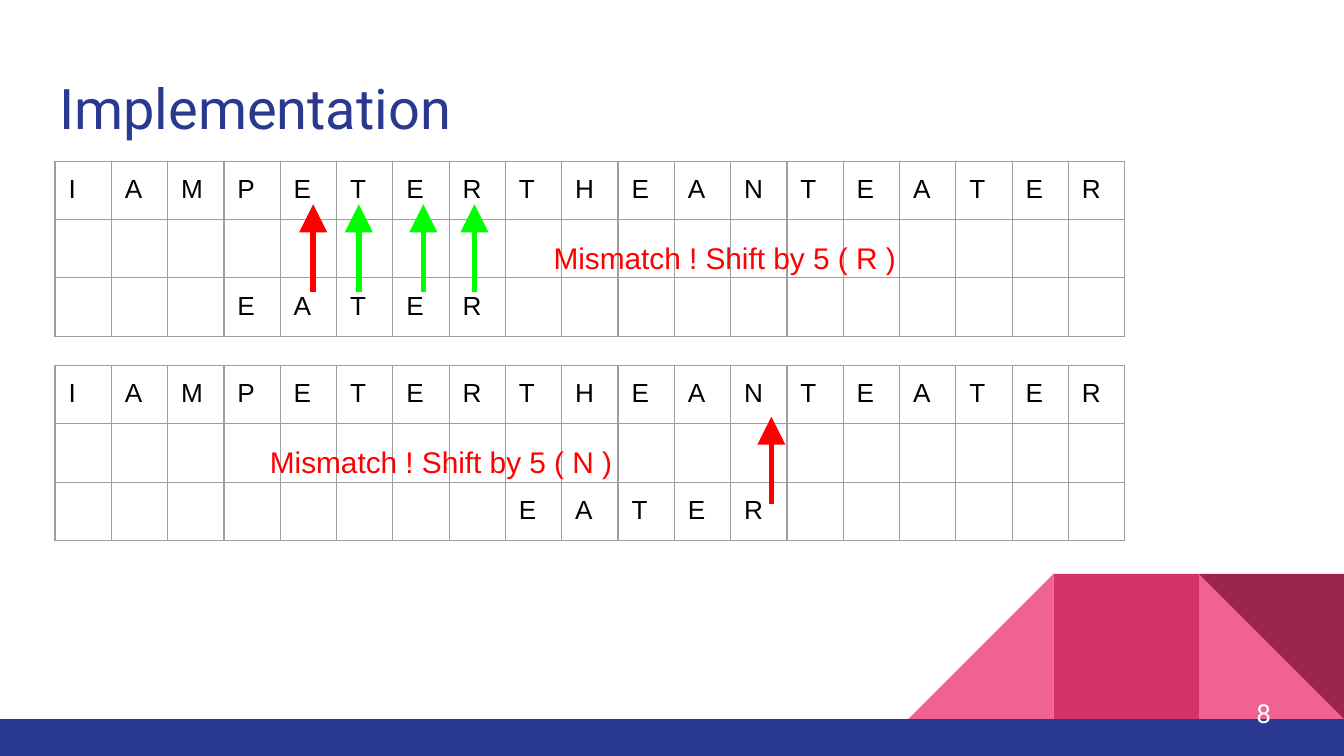
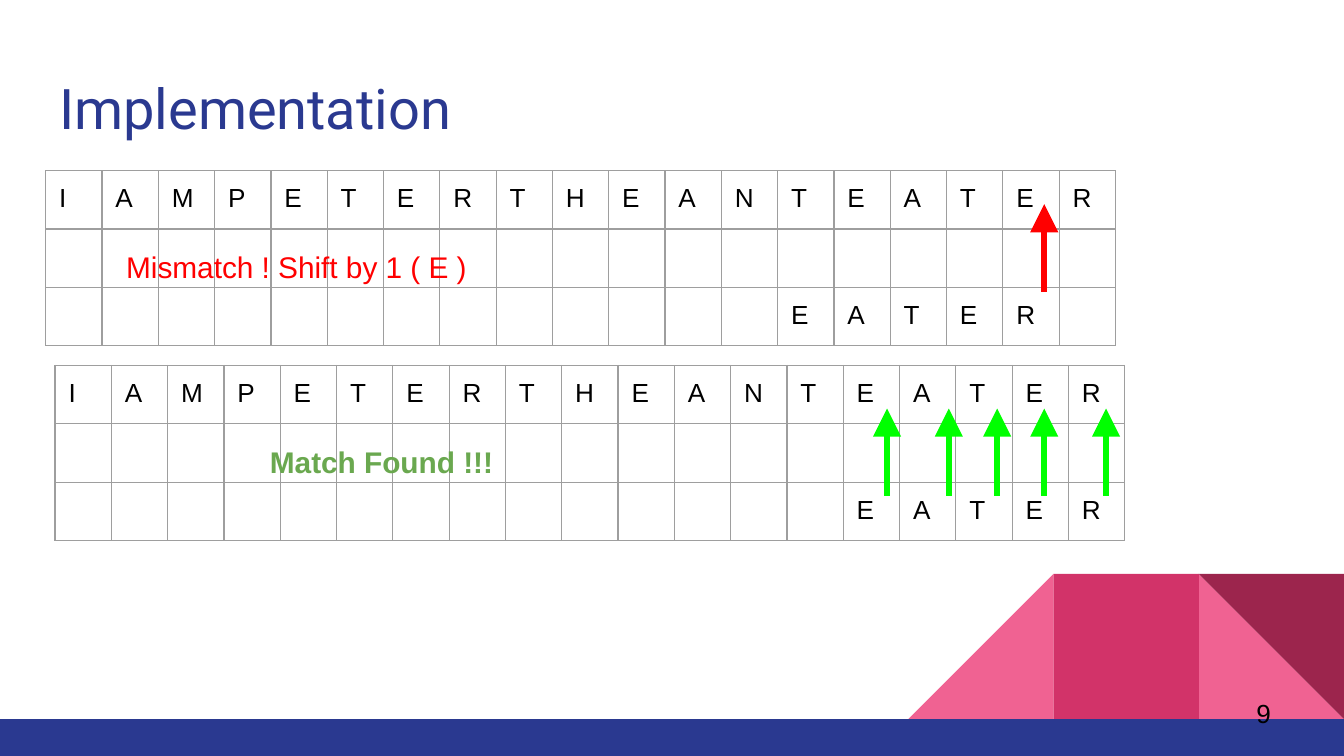
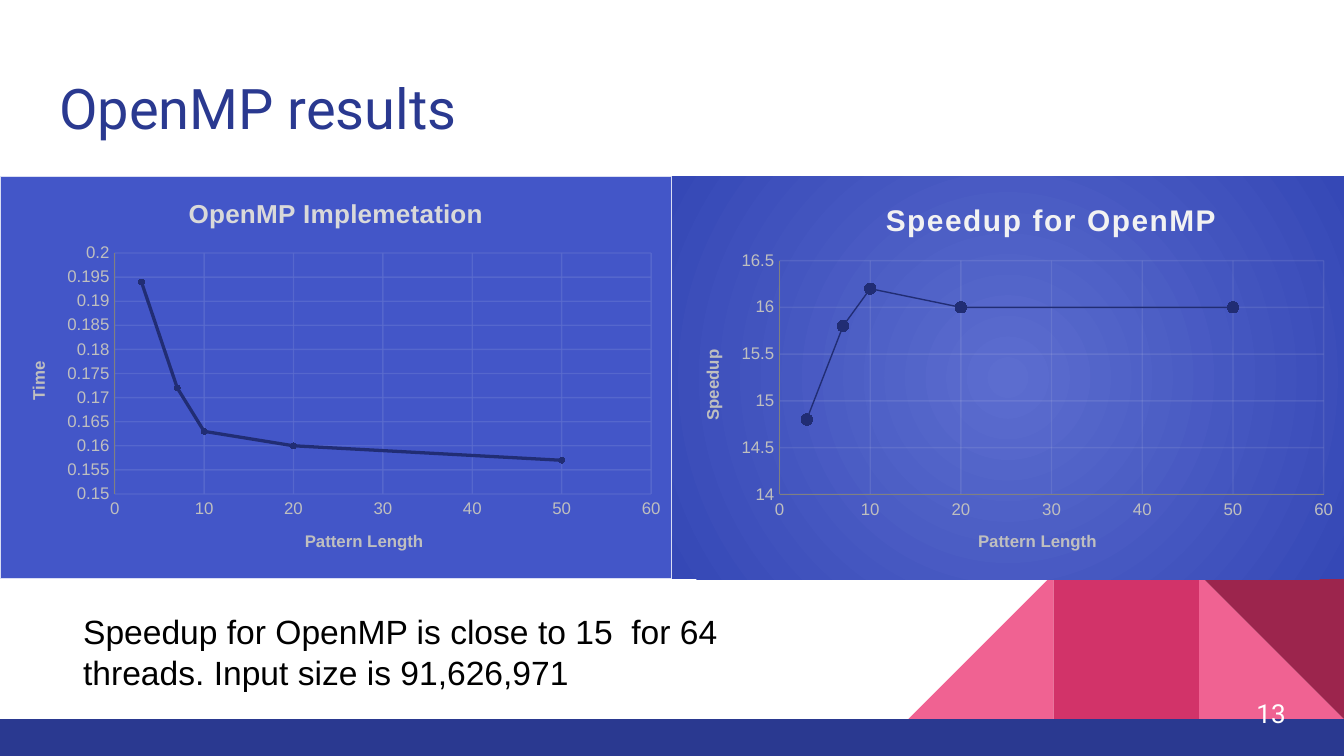
from lxml import etree
from pptx import Presentation
from pptx.chart.data import XyChartData
from pptx.dml.color import RGBColor
from pptx.enum.chart import XL_CHART_TYPE, XL_MARKER_STYLE, XL_TICK_MARK
from pptx.enum.shapes import MSO_CONNECTOR, MSO_SHAPE
from pptx.enum.text import MSO_ANCHOR, MSO_AUTO_SIZE, PP_ALIGN
from pptx.oxml import parse_xml
from pptx.oxml.ns import nsdecls, qn
from pptx.util import Inches, Pt

RECTANGLE, TRIANGLE = MSO_SHAPE.RECTANGLE, MSO_SHAPE.RIGHT_TRIANGLE
TOP, MIDDLE = MSO_ANCHOR.TOP, MSO_ANCHOR.MIDDLE
LEFT = PP_ALIGN.LEFT
STRAIGHT = MSO_CONNECTOR.STRAIGHT
SCATTER = XL_CHART_TYPE.XY_SCATTER_LINES
CIRCLE, NO_TICK = XL_MARKER_STYLE.CIRCLE, XL_TICK_MARK.NONE

COLORS = {
    "navy": "2A3990", "pink": "F06292", "rose": "D23369", "wine": "9C254D",
    "white": "FFFFFF", "black": "000000", "grid": "9E9E9E",
    "red": "FF0000", "lime": "00FF00", "green": "6AA84F",
    "chart": "4356C8", "chart border": "D9DDF4", "glow": "5C6DCF", "edge": "3548B6",
    "series": "212D74", "marker": "1D2A78", "axis": "808080", "label": "BFBFBF",
    "pale": "F2F2F2", "heading": "D9D9D9",
}

# Content: each search step has a table, its arrows and a verdict
TEXT, PATTERN = "IAMPETERTHEANTEATER", "EATER"
SEARCH_SLIDES = [
    {"title": "Implementation", "number": "8", "number font": "Roboto", "number color": "white",
     "steps": [
         {"at": (0.41, 2.72), "offset": 8, "arrow top": 3.1, "arrows": [(5.74, "red")],
          "verdict": "Mismatch ! Shift by 5 ( N )", "verdict at": (0.41, 3.2),
          "margin": 1, "color": "red"},
         {"at": (0.41, 1.2), "offset": 3, "arrow top": 1.52,
          "arrows": [(2.33, "red"), (2.67, "lime"), (3.15, "lime"), (3.53, "lime")],
          "verdict": "Mismatch ! Shift by 5 ( R )", "verdict at": (3.02, 1.68),
          "margin": 0.5, "color": "red"},
     ]},
    {"title": "Implementation", "number": "9", "number font": "Arial", "number color": "black",
     "steps": [
         {"at": (0.41, 2.72), "offset": 14, "arrow top": 3.04,
          "arrows": [(x, "lime") for x in (6.6, 7.06, 7.42, 7.77, 8.23)],
          "verdict": "Match Found !!!", "verdict at": (0.41, 3.2),
          "margin": 1, "color": "green", "bold": True},
         {"at": (0.34, 1.27), "offset": 13, "arrow top": 1.52, "arrows": [(7.77, "red")],
          "verdict": "Mismatch ! Shift by 1 ( E )", "verdict at": (0.34, 1.75),
          "margin": 0, "color": "red"},
     ]},
]
PATTERN_LENGTHS = [3, 7, 10, 20, 50]
SPEEDUP_CHART = {
    "left": 5, "title": "Speedup for OpenMP", "title size": 16, "title color": "pale",
    "title at": (0.31, 0.05),
    "spacing": 100, "y title": "Speedup", "values": [14.8, 15.8, 16.2, 16, 16],
    "range": (14, 16.5, 0.5), "x line": True, "grid": ("pale", 10),
    "line width": 0.75, "marker size": 6, "marker": "marker",
    "area": (0.16, 0.21, 0.81, 0.58),
}
TIME_CHART = {
    "left": 0, "title": "OpenMP Implemetation", "title size": 14, "title color": "heading",
    "title at": None,
    "spacing": 0, "y title": "Time", "values": [0.194, 0.172, 0.163, 0.16, 0.157],
    "range": (0.15, 0.2, 0.005), "x line": False, "grid": ("glow", 75),
    "line width": 1.75, "marker size": 3, "marker": "series",
    "area": (0.17, 0.19, 0.8, 0.6),
}
SUMMARY = "Speedup for OpenMP is close to 15  for 64 threads. Input size is 91,626,971"


def rgb(name):
    return RGBColor.from_string(COLORS[name])


def style_font(font, size, color, name="Arial", bold=False):
    font.size, font.name, font.bold = Pt(size), name, bold
    font.color.rgb = rgb(color)


def write(frame, text, size=14, font="Arial", color="black", bold=False,
          anchor=TOP, inset=0.1, margin=None, indent=0):
    """Fill a text frame with one formatted paragraph."""
    frame.word_wrap = True
    frame.vertical_anchor = anchor
    frame.margin_left = frame.margin_right = Inches(0.1)
    frame.margin_top = frame.margin_bottom = Inches(inset)
    paragraph = frame.paragraphs[0]
    paragraph.alignment = LEFT
    run = paragraph.add_run()
    run.text = text
    style_font(run.font, size, color, font, bold)
    if margin is not None:
        properties = paragraph._p.get_or_add_pPr()
        properties.set("marL", str(Inches(margin)))
        properties.set("indent", str(Inches(indent)))


def add_text(slide, text, left, top, width, height, **style):
    box = slide.shapes.add_textbox(Inches(left), Inches(top), Inches(width), Inches(height))
    write(box.text_frame, text, **style)


def decorate_layout(layout, slide):
    """Draw the corner artwork and bottom band, then move them to the layout."""
    side = 1.08
    parts = [
        (TRIANGLE, 8.92, 4.27, side, side, "pink", 0),
        (TRIANGLE, 6.76, 4.27, side, side, "pink", None),
        (RECTANGLE, 7.84, 4.27, side, side, "rose", 0),
        (TRIANGLE, 8.92, 4.27, side, side, "wine", 180),
        (RECTANGLE, 0, 5.35, 10, 0.28, "navy", 0),
    ]
    for kind, left, top, width, height, color, rotation in parts:
        shape = slide.shapes.add_shape(
            kind, Inches(left), Inches(top), Inches(width), Inches(height))
        shape.shadow.inherit = False
        shape.fill.solid()
        shape.fill.fore_color.rgb = rgb(color)
        shape.line.fill.background()
        if rotation is None:  # mirrored triangle
            shape.element.spPr.find(qn("a:xfrm")).set("flipH", "1")
        else:
            shape.rotation = rotation
        layout.shapes.element.append(shape.element)


def add_frame(slide, title, number, font="Roboto", color="white"):
    """Place the title and the slide number."""
    holder = slide.shapes.title
    holder.left, holder.top = Inches(0.34), Inches(0.45)
    holder.width, holder.height = Inches(9.32), Inches(0.66)
    holder.text_frame.auto_size = MSO_AUTO_SIZE.NONE
    write(holder.text_frame, title, size=30, font="Roboto", color="navy")
    add_text(slide, number, 9.25, 5.09, 0.6, 0.43, font=font, color=color, anchor=MIDDLE)


def style_cell(cell, letter):
    if letter:
        write(cell.text_frame, letter)
    # Keep the paragraph end at the letter size, so that rows stay low
    paragraph = cell.text_frame.paragraphs[0]._p
    ending = etree.SubElement(paragraph, qn("a:endParaRPr"), sz="1400")
    etree.SubElement(ending, qn("a:latin"), typeface="Arial")
    cell.margin_left = cell.margin_right = Inches(0.1)
    cell.margin_top = cell.margin_bottom = Inches(0.1)
    cell.fill.background()
    properties = cell._tc.get_or_add_tcPr()
    for index, side in enumerate("LRTB"):
        properties.insert(index, parse_xml(
            f'<a:ln{side} {nsdecls("a")} w="{Pt(0.75)}">{solid("grid")}</a:ln{side}>'))


def add_search_table(slide, left, top, offset):
    pattern_row = (" " * offset + PATTERN).ljust(len(TEXT))
    rows = [TEXT, " " * len(TEXT), pattern_row]
    width, height = Inches(7.96), Inches(1.25)
    table = slide.shapes.add_table(
        len(rows), len(TEXT), Inches(left), Inches(top), width, height).table
    table.first_row = table.horz_banding = False
    for column in table.columns:
        column.width = width // len(TEXT)
    for row, letters in zip(table.rows, rows):
        row.height = height // len(rows)
        for cell, letter in zip(row.cells, letters):
            style_cell(cell, letter.strip())


def add_arrow(slide, x, top, color):
    arrow = slide.shapes.add_connector(
        STRAIGHT, Inches(x), Inches(top + 0.65), Inches(x), Inches(top))
    arrow.line.color.rgb = rgb(color)
    arrow.line.width = Pt(3)
    etree.SubElement(arrow.line._get_or_add_ln(), qn("a:tailEnd"),
                     type="triangle", w="lg", len="lg")
    etree.SubElement(arrow.element.spPr, qn("a:effectLst"))


def add_search_step(slide, step):
    add_search_table(slide, *step["at"], step["offset"])
    for x, color in step["arrows"]:
        add_arrow(slide, x, step["arrow top"], color)
    add_text(slide, step["verdict"], *step["verdict at"], 5.69, 0.32, size=16,
             color=step["color"], bold=step.get("bold", False),
             margin=step["margin"], indent=0.5)


def style_axis(axis, title, limits, grid, has_line):
    axis.minimum_scale, axis.maximum_scale, axis.major_unit = limits
    axis.major_tick_mark = axis.minor_tick_mark = NO_TICK
    axis.tick_labels.number_format = "General"
    axis.tick_labels.number_format_is_linked = False
    style_font(axis.tick_labels.font, 9, "label")
    axis.axis_title.text_frame.text = title
    style_font(axis.axis_title.text_frame.paragraphs[0].runs[0].font, 9, "label", bold=True)
    if has_line:
        axis.format.line.color.rgb = rgb("axis")
        axis.format.line.width = Pt(0.75)
    else:
        axis.format.line.fill.background()
    # Translucent gridlines
    color, opacity = grid
    axis.has_major_gridlines = True
    line = axis.major_gridlines.format.line
    line.color.rgb = rgb(color)
    line.width = Pt(0.75)
    swatch = axis.major_gridlines._xAx.find(qn("c:majorGridlines")).find(".//" + qn("a:srgbClr"))
    etree.SubElement(swatch, qn("a:alpha"), val=str(opacity * 1000))


def set_background(chart, fill, line):
    chart.element.find(qn("c:txPr")).addprevious(parse_xml(
        f'<c:spPr {nsdecls("c", "a")}>{fill}<a:ln w="{Pt(0.75)}">{line}</a:ln></c:spPr>'))
    chart.element.find(qn("c:chart")).addprevious(parse_xml(
        f'<c:roundedCorners {nsdecls("c")} val="0"/>'))


def set_layout(parent, index, place, target=""):
    """Fix the place of a chart part, as fractions of the chart."""
    for layout in parent.findall(qn("c:layout")):
        parent.remove(layout)
    sizes = "".join(f'<c:{tag} val="{value}"/>' for tag, value in zip("xywh", place))
    parent.insert(index, parse_xml(
        f'<c:layout {nsdecls("c")}><c:manualLayout>{target}'
        f'<c:xMode val="edge"/><c:yMode val="edge"/>{sizes}</c:manualLayout></c:layout>'))


def add_result_chart(slide, content):
    data = XyChartData()
    points = data.add_series("Series 1")
    for x, y in zip(PATTERN_LENGTHS, content["values"]):
        points.add_data_point(x, y)
    chart = slide.shapes.add_chart(
        SCATTER, Inches(content["left"]), Inches(1.31), Inches(5), Inches(3), data).chart
    style_font(chart.font, 10, "navy")
    chart.has_legend = False
    chart.has_title = True
    chart.chart_title.include_in_layout = False
    chart.chart_title.text_frame.text = content["title"]
    font = chart.chart_title.text_frame.paragraphs[0].runs[0].font
    style_font(font, content["title size"], content["title color"], bold=True)
    font._element.set("spc", str(content["spacing"]))

    style_axis(chart.category_axis, "Pattern Length", (0, 60, 10),
               content["grid"], content["x line"])
    style_axis(chart.value_axis, content["y title"], content["range"], content["grid"], True)
    set_layout(chart.element.find(".//" + qn("c:plotArea")), 0, content["area"],
               '<c:layoutTarget val="inner"/>')
    if content["title at"]:
        set_layout(chart.element.find(".//" + qn("c:title")), 1, content["title at"])

    plot = chart.plots[0]
    plot.vary_by_categories = False
    series = plot.series[0]
    series.smooth = False
    series.format.line.color.rgb = rgb("series")
    series.format.line.width = Pt(content["line width"])
    series.marker.style, series.marker.size = CIRCLE, content["marker size"]
    series.marker.format.fill.solid()
    series.marker.format.fill.fore_color.rgb = rgb(content["marker"])
    series.marker.format.line.color.rgb = rgb(content["marker"])
    return chart


def solid(name):
    return f'<a:solidFill><a:srgbClr val="{COLORS[name]}"/></a:solidFill>'


def radial(inner, outer):
    stops = "".join(f'<a:gs pos="{position}"><a:srgbClr val="{COLORS[name]}"/></a:gs>'
                    for position, name in ((0, inner), (100000, outer)))
    return (f'<a:gradFill><a:gsLst>{stops}</a:gsLst><a:path path="circle">'
            '<a:fillToRect l="50000" t="50000" r="50000" b="50000"/></a:path></a:gradFill>')


def main():
    presentation = Presentation()
    presentation.slide_width = Inches(10)
    presentation.slide_height = Inches(10) * 9 // 16
    layout = presentation.slide_layouts[5]

    # Search walkthrough
    for index, content in enumerate(SEARCH_SLIDES):
        slide = presentation.slides.add_slide(layout)
        if index == 0:
            decorate_layout(layout, slide)
        add_frame(slide, content["title"], content["number"],
                  content["number font"], content["number color"])
        for step in content["steps"]:
            add_search_step(slide, step)

    # Results
    slide = presentation.slides.add_slide(layout)
    add_frame(slide, "OpenMP results", "13")
    speedup = add_result_chart(slide, SPEEDUP_CHART)
    set_background(speedup, radial("glow", "edge"), "<a:noFill/>")
    add_text(slide, SUMMARY, 0.52, 4.5, 5.62, 0.71, size=18, inset=0.05)
    time = add_result_chart(slide, TIME_CHART)
    set_background(time, solid("chart"), solid("chart border"))

    presentation.save("out.pptx")


if __name__ == "__main__":
    main()
